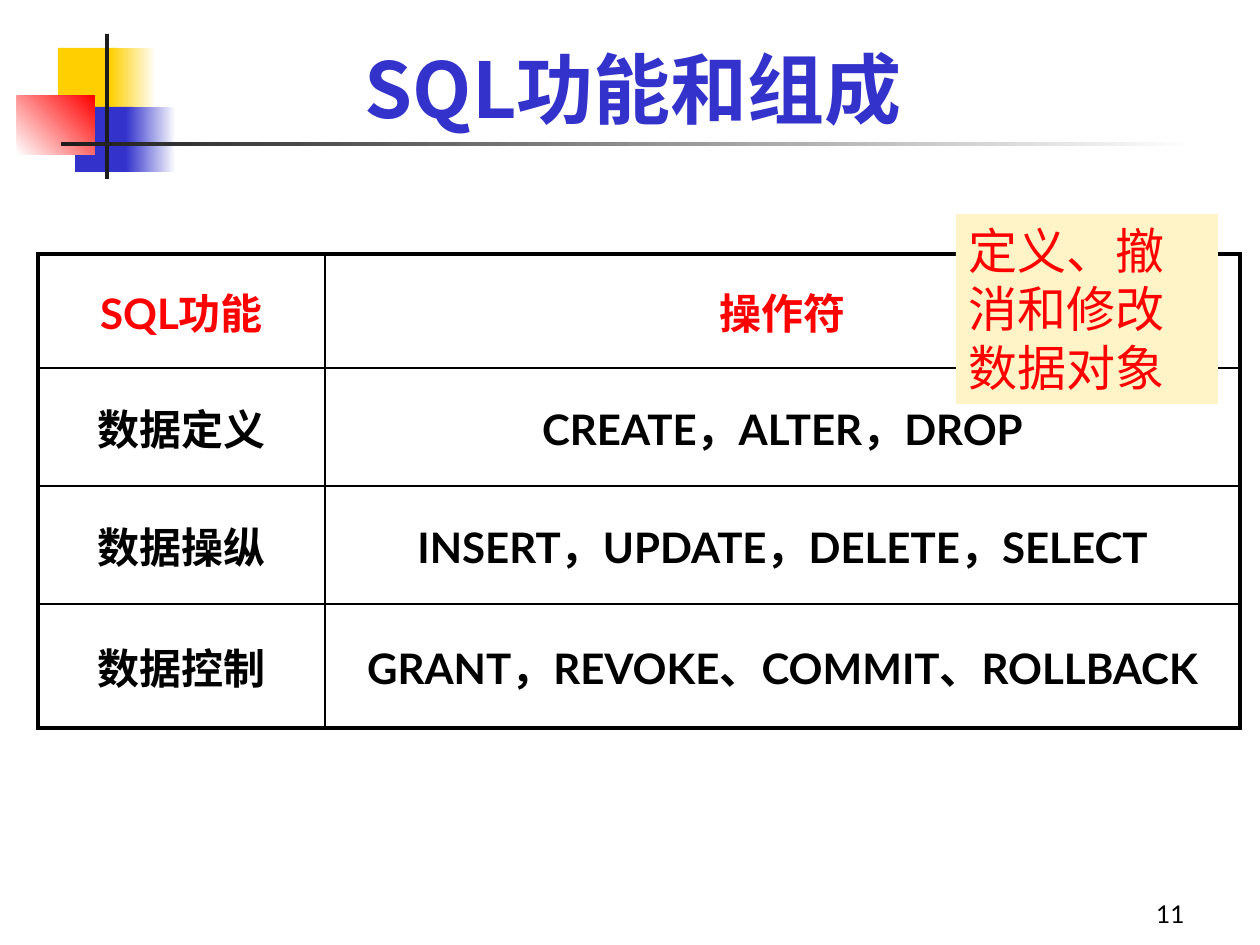
from lxml.etree import SubElement
from pptx import Presentation
from pptx.dml.color import RGBColor
from pptx.enum.shapes import MSO_SHAPE as Shape
from pptx.enum.text import MSO_ANCHOR as Anchor, PP_ALIGN as Align
from pptx.oxml.ns import qn
from pptx.util import Emu, Pt

WHITE = RGBColor(0xFF, 0xFF, 0xFF)
BLACK = RGBColor(0, 0, 0)
RED = RGBColor(0xFF, 0, 0)
YELLOW = RGBColor(0xFF, 0xCF, 0x01)
BLUE = RGBColor(0x33, 0x33, 0xCC)
DARK = RGBColor(0x1C, 0x1C, 0x1C)
CREAM = RGBColor(0xFF, 0xF4, 0xC7)
LATIN, CHINESE = "Lato", "Noto Sans CJK SC"

# Content: box in px, start colour, end colour (None for solid), angle
DECORATION = [
    ((58, 48, 60, 65), YELLOW, None, 0),
    ((110, 48, 46, 65), YELLOW, WHITE, 0),
    ((75, 107, 58, 65), BLUE, None, 0),
    ((126, 107, 50, 65), BLUE, WHITE, 0),
    ((17, 96, 78, 59), WHITE, RED, 45),
    ((105, 34, 4, 145), DARK, None, 0),
    ((61, 142, 1134, 4), DARK, WHITE, 0),
]
TITLE = "SQL功能和组成"
ROWS = [
    ("SQL功能", "操作符"),
    ("数据定义", "CREATE，ALTER，DROP"),
    ("数据操纵", "INSERT，UPDATE，DELETE，SELECT"),
    ("数据控制", "GRANT，REVOKE、COMMIT、ROLLBACK"),
]
COLUMN_WIDTHS = [287, 915]
ROW_HEIGHTS = [114, 118, 118, 124]
NOTE = ["定义、撤消和修改", "数据对象"]
PAGE_NUMBER = "11"


def px(value):
    return Emu(round(value * 914400 / 126))


def place(box):
    return [px(value) for value in box]


def add_run(paragraph, text, size, color, bold=False, latin=LATIN):
    run = paragraph.add_run()
    run.text = text
    run.font.size = Pt(size)
    run.font.bold = bold
    run.font.name = latin
    run.font.color.rgb = color
    SubElement(run.font._element, qn("a:ea"), typeface=CHINESE)


def add_rectangle(slide, box, start, end=None, angle=0):
    shape = slide.shapes.add_shape(Shape.RECTANGLE, *place(box))
    shape.shadow.inherit = False
    shape.line.fill.background()
    if end is None:
        shape.fill.solid()
        shape.fill.fore_color.rgb = start
    else:
        shape.fill.gradient()
        shape.fill.gradient_angle = angle
        for stop, color in zip(shape.fill.gradient_stops, (start, end)):
            stop.color.rgb = color
    return shape


def add_text(slide, box, text, align, *style):
    frame = slide.shapes.add_textbox(*place(box)).text_frame
    frame.word_wrap = True
    frame.vertical_anchor = Anchor.BOTTOM
    frame.paragraphs[0].alignment = align
    add_run(frame.paragraphs[0], text, *style)


def set_borders(cell, widths):
    properties = cell._tc.get_or_add_tcPr()
    for index, (side, width) in enumerate(widths.items()):
        line = SubElement(properties, qn(f"a:ln{side}"), w=str(Pt(width)))
        fill = SubElement(line, qn("a:solidFill"))
        SubElement(fill, qn("a:srgbClr"), val=str(BLACK))
        properties.remove(line)
        properties.insert(index, line)


def add_function_table(slide):
    box = (38, 254, sum(COLUMN_WIDTHS), sum(ROW_HEIGHTS))
    table = slide.shapes.add_table(len(ROWS), 2, *place(box)).table
    table.first_row = table.horz_banding = False
    for column, width in zip(table.columns, COLUMN_WIDTHS):
        column.width = px(width)
    for row, height in zip(table.rows, ROW_HEIGHTS):
        row.height = px(height)
    for r, texts in enumerate(ROWS):
        for c, text in enumerate(texts):
            cell = table.cell(r, c)
            cell.fill.background()
            cell.vertical_anchor = Anchor.MIDDLE
            paragraph = cell.text_frame.paragraphs[0]
            paragraph.alignment = Align.CENTER
            add_run(paragraph, text, 24, RED if r == 0 else BLACK, True)
            # Outer edges are thick, inner lines thin
            outer = {"L": c == 0, "R": c == 1, "T": r == 0, "B": r == len(ROWS) - 1}
            set_borders(cell, {side: 2.25 if edge else 1 for side, edge in outer.items()})


def main():
    presentation = Presentation()
    presentation.slide_width, presentation.slide_height = px(1260), px(945)
    slide = presentation.slides.add_slide(presentation.slide_layouts[6])

    # Corner decoration and title rule
    for box, start, end, angle in DECORATION:
        add_rectangle(slide, box, start, end, angle)

    # Title, table and page number
    add_text(slide, (49, 23, 1169, 117), TITLE, Align.CENTER, 44, BLUE, True, CHINESE)
    add_function_table(slide)
    add_text(slide, (935, 872, 262, 63), PAGE_NUMBER, Align.RIGHT, 14, BLACK)

    # Note over the table
    note = add_rectangle(slide, (956, 214, 262, 190), CREAM)
    note.text_frame.word_wrap = True
    note.text_frame.vertical_anchor = Anchor.TOP
    paragraph = note.text_frame.paragraphs[0]
    paragraph.alignment = Align.LEFT
    for index, text in enumerate(NOTE):
        if index:
            paragraph.add_line_break()
        add_run(paragraph, text, 28, RED)

    presentation.save("out.pptx")


if __name__ == "__main__":
    main()
